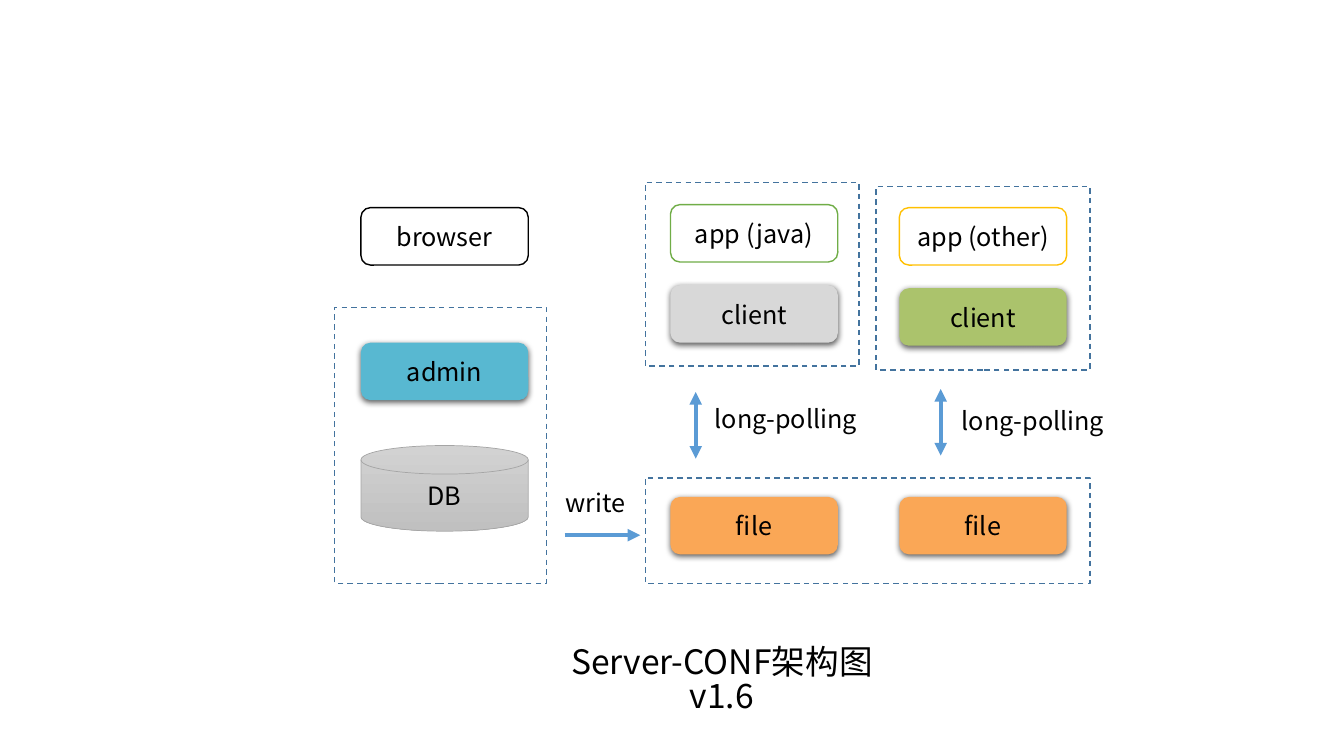
"""Builds the Server-CONF architecture slide."""
from lxml import etree
from pptx import Presentation
from pptx import util as u
from pptx.dml.color import RGBColor
from pptx.enum import dml, shapes, text
from pptx.oxml import ns

FONT = "Noto Sans CJK SC"
TITLE = "Server-CONF架构图\vv1.6"
COLORS = {
    "black": "000000", "white": "FFFFFF", "frame": "43739E", "arrow": "5B9BD5",
    "orange": "FAA756", "blue": "58B8D1", "olive": "ABC36C", "gray": "D8D8D8",
    "green": "70AD47", "yellow": "FFC000",
    "disk_top": "D2D2D2", "disk_bottom": "C0C0C0", "disk_line": "A5A5A5",
}
LEFT, MIDDLE, RIGHT = 3.58, 6.65, 8.92
BOX_WIDTH, BOX_HEIGHT = 1.66, 0.57
DISK_TOP, DISK_HEIGHT = 4.42, 0.85
FRAMES = [
    (6.4, 4.74, 4.41, 1.05),
    (3.32, 3.05, 2.1, 2.74),
    (6.4, 1.81, 2.12, 1.82),
    (8.69, 1.85, 2.12, 1.82),
]
ROUNDED = shapes.MSO_SHAPE.ROUNDED_RECTANGLE
PROCESS = shapes.MSO_SHAPE.FLOWCHART_ALTERNATE_PROCESS
SOLID_BOXES = [
    ("admin", LEFT, 3.4, "blue", ROUNDED),
    ("client", MIDDLE, 2.83, "gray", PROCESS),
    ("client", RIGHT, 2.86, "olive", PROCESS),
    ("file", MIDDLE, 4.93, "orange", PROCESS),
    ("file", RIGHT, 4.93, "orange", PROCESS),
]
OUTLINED_BOXES = [
    ("browser", LEFT, 2.06, "black"),
    ("app (java)", MIDDLE, 2.03, "green"),
    ("app (other)", RIGHT, 2.06, "yellow"),
]
ARROWS = [
    ((5.6, 5.31), (6.35, 5.31), ["tailEnd"]),
    ((6.9, 3.89), (6.9, 4.55), ["headEnd", "tailEnd"]),
    ((9.33, 3.86), (9.33, 4.52), ["headEnd", "tailEnd"]),
]
LABELS = [
    ("write", 5.51, 4.79, 0.8),
    ("long-polling", 6.99, 3.95, 1.7),
    ("long-polling", 9.44, 3.97, 1.7),
]


def rgb(name):
    return RGBColor.from_string(COLORS[name])


def inches(*lengths):
    return [u.Inches(length) for length in lengths]


def write(shape, words, size=18, align=text.PP_ALIGN.CENTER):
    shape.text_frame.text = words
    paragraph = shape.text_frame.paragraphs[0]
    paragraph.alignment = align
    for run in paragraph.runs:
        run.font.size = u.Pt(size)
        run.font.name = FONT
        run.font.color.rgb = rgb("black")
        east_asian = etree.SubElement(run.font._element, ns.qn("a:ea"))
        east_asian.set("typeface", FONT)
    return paragraph


def add_box(slide, kind, left, top, width, height, line=None, points=1):
    shape = slide.shapes.add_shape(kind, *inches(left, top, width, height))
    shape.shadow.inherit = False
    if line:
        shape.line.color.rgb = rgb(line)
        shape.line.width = u.Pt(points)
    else:
        shape.line.fill.background()
    return shape


def paint(shape, color):
    shape.fill.solid()
    shape.fill.fore_color.rgb = rgb(color)


def cast_shadow(shape):
    effects = shape._element.spPr.find(ns.qn("a:effectLst"))
    shadow = etree.SubElement(
        effects, ns.qn("a:outerShdw"), blurRad=str(u.Pt(4.5)),
        dist=str(u.Pt(1.5)), dir="5400000", algn="ctr", rotWithShape="0")
    color = etree.SubElement(shadow, ns.qn("a:srgbClr"), val=COLORS["black"])
    etree.SubElement(color, ns.qn("a:alpha"), val="63000")


def add_disk(slide):
    disk = add_box(slide, shapes.MSO_SHAPE.FLOWCHART_MAGNETIC_DISK, LEFT, DISK_TOP,
                   BOX_WIDTH, DISK_HEIGHT, "disk_line", 0.5)
    disk.fill.gradient()
    disk.fill.gradient_angle = 270
    for stop, color in zip(disk.fill.gradient_stops, ("disk_top", "disk_bottom")):
        stop.color.rgb = rgb(color)
    write(disk, "DB")


def add_arrow(slide, start, end, heads):
    arrow = slide.shapes.add_connector(
        shapes.MSO_CONNECTOR.STRAIGHT, *inches(*start, *end))
    arrow.line.color.rgb = rgb("arrow")
    arrow.line.width = u.Pt(3)
    for head in heads:
        etree.SubElement(arrow.line._get_or_add_ln(), ns.qn(f"a:{head}"), type="triangle")
    etree.SubElement(arrow._element.spPr, ns.qn("a:effectLst"))


def add_title(slide):
    title = slide.shapes.title
    title.left, title.top, title.width, title.height = inches(5.13, 6.37, 4.06, 0.5)
    paragraph = write(title, TITLE, 24)
    paragraph.line_spacing = 0.85
    title.text_frame.word_wrap = False
    title.text_frame.auto_size = text.MSO_AUTO_SIZE.SHAPE_TO_FIT_TEXT
    title.text_frame.vertical_anchor = text.MSO_ANCHOR.TOP


def main():
    presentation = Presentation()
    presentation.slide_width, presentation.slide_height = inches(13.33, 7.5)
    slide = presentation.slides.add_slide(presentation.slide_layouts[5])
    add_title(slide)
    for frame in FRAMES:
        shape = add_box(slide, shapes.MSO_SHAPE.RECTANGLE, *frame, line="frame")
        shape.fill.background()
        shape.line.dash_style = dml.MSO_LINE.DASH
    for words, left, top, color, kind in SOLID_BOXES:
        shape = add_box(slide, kind, left, top, BOX_WIDTH, BOX_HEIGHT)
        paint(shape, color)
        cast_shadow(shape)
        write(shape, words)
    for words, left, top, line in OUTLINED_BOXES:
        shape = add_box(slide, PROCESS, left, top, BOX_WIDTH, BOX_HEIGHT, line)
        paint(shape, "white")
        write(shape, words)
    add_disk(slide)
    for arrow in ARROWS:
        add_arrow(slide, *arrow)
    for words, left, top, width in LABELS:
        label = slide.shapes.add_textbox(*inches(left, top, width, 0.4))
        label.text_frame.word_wrap = False
        write(label, words, align=text.PP_ALIGN.LEFT)
    presentation.save("out.pptx")


if __name__ == "__main__":
    main()
